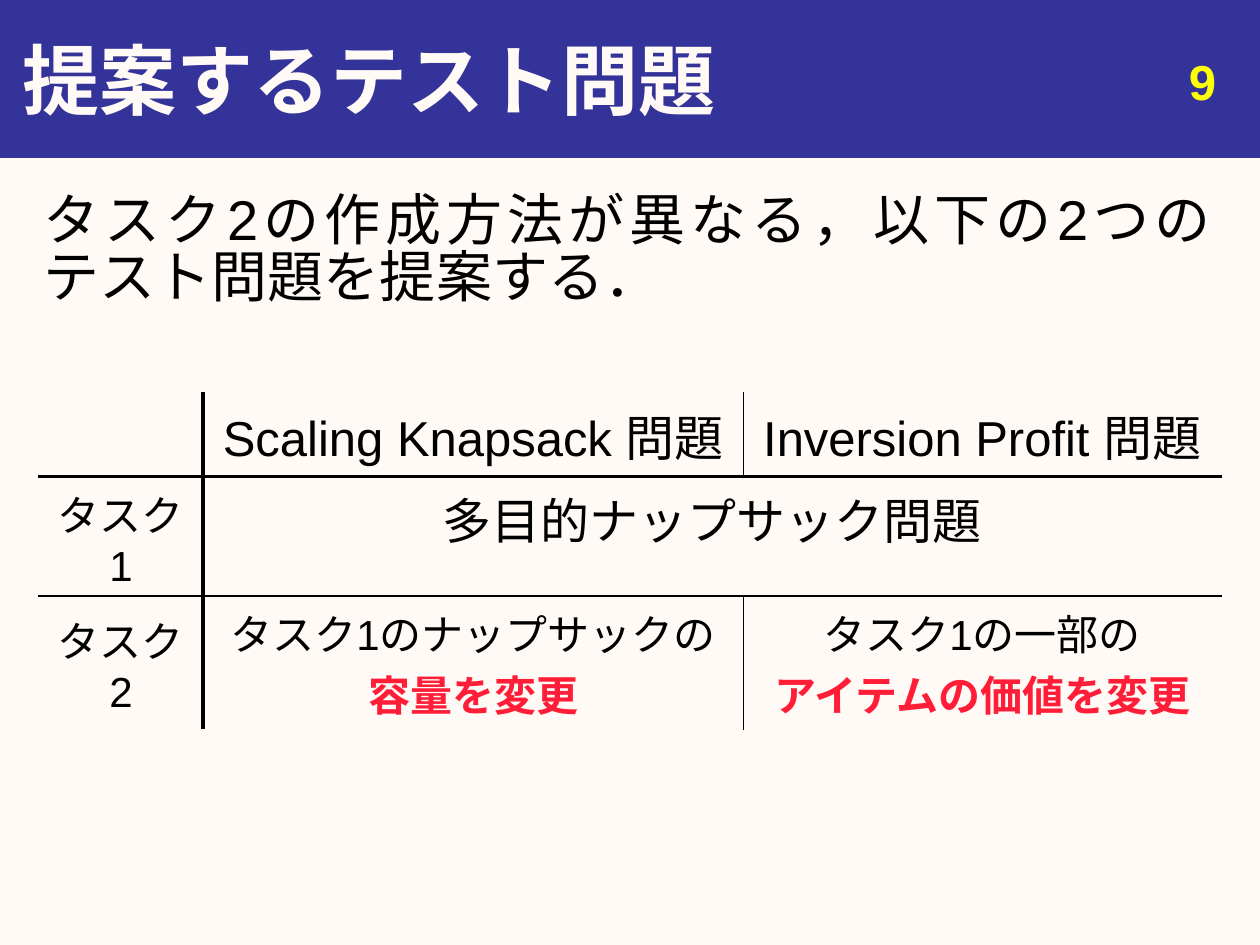
"""Build the slide that proposes two multi-objective knapsack test problems."""
from dataclasses import dataclass
from typing import Optional

from lxml import etree
from pptx import Presentation
from pptx.dml.color import RGBColor
from pptx.enum.lang import MSO_LANGUAGE_ID
from pptx.enum.shapes import MSO_SHAPE
from pptx.enum.text import MSO_ANCHOR, PP_ALIGN
from pptx.oxml.ns import qn
from pptx.util import Inches, Pt

RECTANGLE = MSO_SHAPE.RECTANGLE
JAPANESE = MSO_LANGUAGE_ID.JAPANESE
TOP, MIDDLE = MSO_ANCHOR.TOP, MSO_ANCHOR.MIDDLE
LEFT, CENTER, RIGHT, JUSTIFY = (
    PP_ALIGN.LEFT, PP_ALIGN.CENTER, PP_ALIGN.RIGHT, PP_ALIGN.JUSTIFY)


@dataclass(frozen=True)
class Theme:
    font: str = "Arial"
    paper: str = "FFFAF5"
    ink: str = "000000"
    banner: str = "333399"
    accent: str = "FF1D38"
    number: str = "FFFF00"
    title_size: int = 44
    body_size: int = 32
    heading_size: int = 28
    detail_size: int = 24


THEME = Theme()


@dataclass(frozen=True)
class Passage:
    text: str
    size: int
    color: str = THEME.ink
    bold: bool = False
    align: PP_ALIGN = CENTER
    anchor: MSO_ANCHOR = TOP
    highlight: str = ""
    line_spacing: Optional[float] = None


@dataclass(frozen=True)
class Box:
    left: float
    top: float
    width: float
    height: float

    def lengths(self) -> list:
        return [Inches(v) for v in (self.left, self.top, self.width, self.height)]


@dataclass(frozen=True)
class Rule:
    color: str
    width: float


@dataclass(frozen=True)
class Entry:
    row: int
    column: int
    passage: Passage


EDGE, THICK, THIN = Rule(THEME.paper, 1), Rule(THEME.ink, 2.25), Rule(THEME.ink, 1)
GRID_RULES = (EDGE, THICK, THIN, EDGE)
COLUMN_WIDTHS = (1.3, 4.29, 3.79)
ROW_HEIGHTS = (0.66, 0.95, 1.06)
TABLE_BOX = Box(0.31, 3.12, sum(COLUMN_WIDTHS), sum(ROW_HEIGHTS))
BANNER_BOX = Box(0, 0, 10, 1.25)

TEXTS = (
    (Box(0.08, 0, 9.92, 1.25),
     Passage("提案するテスト問題", THEME.title_size, THEME.paper, True, LEFT, MIDDLE)),
    (Box(0.25, 1.5, 9.5, 5.67),
     Passage("タスク2の作成方法が異なる，以下の2つの\vテスト問題を提案する．",
             THEME.body_size, align=JUSTIFY, line_spacing=0.85)),
    (Box(7.42, 0.36, 2.33, 0.52),
     Passage("9", THEME.heading_size, THEME.number, True, RIGHT)),
)
ENTRIES = (
    Entry(0, 1, Passage("Scaling Knapsack 問題", THEME.heading_size)),
    Entry(0, 2, Passage("Inversion Profit 問題", THEME.heading_size)),
    Entry(1, 0, Passage("タスク1", THEME.detail_size, anchor=MIDDLE)),
    Entry(1, 1, Passage("多目的ナップサック問題", THEME.heading_size)),
    Entry(2, 0, Passage("タスク2", THEME.detail_size, anchor=MIDDLE)),
    Entry(2, 1, Passage("タスク1のナップサックの", THEME.detail_size,
                        highlight="容量を変更")),
    Entry(2, 2, Passage("タスク1の一部の", THEME.detail_size,
                        highlight="アイテムの価値を変更")),
)


def add_run(paragraph, text: str, size: int, color: str, bold: bool) -> None:
    """Append one formatted run."""
    run = paragraph.add_run()
    run.text = text
    formats = {"name": THEME.font, "size": Pt(size), "bold": bold,
               "language_id": JAPANESE}
    for attribute, value in formats.items():
        setattr(run.font, attribute, value)
    run.font.color.rgb = RGBColor.from_string(color)


def write(frame, passage: Passage) -> None:
    """Write a passage, with line breaks, into a text frame."""
    paragraph = frame.paragraphs[0]
    formats = {"alignment": passage.align, "line_spacing": passage.line_spacing}
    for attribute, value in formats.items():
        setattr(paragraph, attribute, value)
    for index, line in enumerate(passage.text.split("\v")):
        if index:
            paragraph.add_line_break()
        add_run(paragraph, line, passage.size, passage.color, passage.bold)
    if passage.highlight:
        paragraph.add_line_break()
        add_run(paragraph, passage.highlight, passage.size, THEME.accent, True)


def add_banner(slide) -> None:
    """Draw the title band."""
    banner = slide.shapes.add_shape(RECTANGLE, *BANNER_BOX.lengths())
    banner.shadow.inherit = False
    banner.fill.solid()
    for color in (banner.fill.fore_color, banner.line.color):
        color.rgb = RGBColor.from_string(THEME.banner)
    banner.line.width = Pt(0.75)


def add_text(slide, box: Box, passage: Passage) -> None:
    """Place a wrapped text box."""
    frame = slide.shapes.add_textbox(*box.lengths()).text_frame
    formats = {"word_wrap": True, "vertical_anchor": passage.anchor}
    for attribute, value in formats.items():
        setattr(frame, attribute, value)
    write(frame, passage)


def set_borders(cell, row: int, column: int) -> None:
    """Give a cell the grid rules on its four sides."""
    properties = cell._tc.get_or_add_tcPr()
    sides = {"a:lnL": GRID_RULES[column],
             "a:lnR": GRID_RULES[column + cell.span_width],
             "a:lnT": GRID_RULES[row],
             "a:lnB": GRID_RULES[row + cell.span_height]}
    for tag, rule in sides.items():
        line = etree.SubElement(properties, qn(tag), w=str(Pt(rule.width)))
        fill = etree.SubElement(line, qn("a:solidFill"))
        etree.SubElement(fill, qn("a:srgbClr"), val=rule.color)


def add_comparison(slide) -> None:
    """Draw the table that compares the two test problems."""
    table = slide.shapes.add_table(
        len(ROW_HEIGHTS), len(COLUMN_WIDTHS), *TABLE_BOX.lengths()).table
    table.first_row = table.horz_banding = False
    for column, width in zip(table.columns, COLUMN_WIDTHS):
        column.width = Inches(width)
    for row, height in zip(table.rows, ROW_HEIGHTS):
        row.height = Inches(height)
    table.cell(1, 1).merge(table.cell(1, 2))
    for row in range(len(ROW_HEIGHTS)):
        for column in range(len(COLUMN_WIDTHS)):
            cell = table.cell(row, column)
            if not cell.is_spanned:
                set_borders(cell, row, column)
            cell.fill.background()
    for entry in ENTRIES:
        cell = table.cell(entry.row, entry.column)
        cell.vertical_anchor = entry.passage.anchor
        write(cell.text_frame, entry.passage)


def main() -> None:
    """Build and save the slide."""
    deck = Presentation()
    deck.slide_width, deck.slide_height = Inches(10), Inches(7.5)
    slide = deck.slides.add_slide(deck.slide_layouts[6])
    slide.background.fill.solid()
    slide.background.fill.fore_color.rgb = RGBColor.from_string(THEME.paper)
    add_banner(slide)
    for box, passage in TEXTS:
        add_text(slide, box, passage)
    add_comparison(slide)
    deck.save("out.pptx")


if __name__ == "__main__":
    main()
